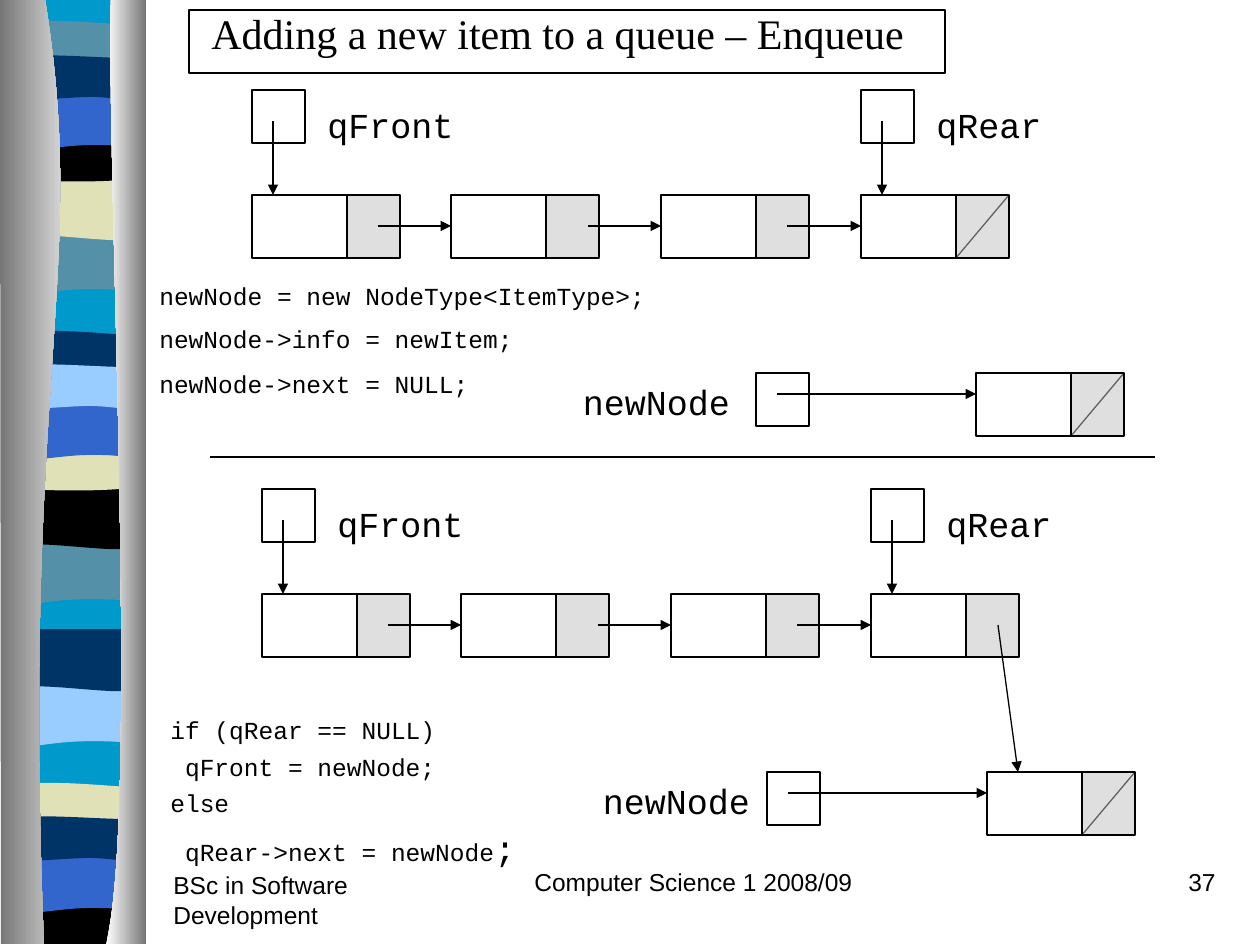
import lxml.etree
import pptx
import pptx.dml.color
import pptx.enum.shapes
import pptx.enum.text
import pptx.oxml.ns
import pptx.util

SCALE = 914400 / 126
QN = pptx.oxml.ns.qn
ALIGN = pptx.enum.text.PP_ALIGN
W, H = 1260, 945
CELL, LINK, NODE_H, BOX = 95, 53, 63, 53
NODES = ((0, 126), (199, 137), (409, 126), (609, None))
MONO = {"name": "Courier New", "size": 20}
CODE = {"name": "Courier New", "size": 14}
TITLE = {"name": "Times New Roman", "size": 24}
FOOT = {"name": "Arial", "size": 14}
CYAN, TEAL, NAVY, BLUE = "0099CC", "5490A8", "003366", "3366CC"
BLACK, SAND, SKY = "000000", "E1E1B7", "99CCFF"
FALL = [(136, 0), [(136, 59)], [(42, 49), (23, 69), (0, 59)], [(0, 0)]]
WAVE = [(136, 0), [(136, 59)], [(113, 69), (42, 52), (0, 59)], [(0, 0)]]
RIDGE = [(136, 0), [(136, 30)], [(113, 35), (23, 35), (0, 30)], [(0, 0)],
         [(8, -6), (29, -5), (52, -5)], [(74, -5), (118, -1), (136, 0)]]
DIP = [(136, 0), [(136, 41)], [(113, 47), (23, 47), (0, 41)], [(0, 0)],
       [(83, 6), (107, 0), (136, 0)]]
END = [(136, 0), [(136, 47)], [(0, 47)], [(0, 0)], [(83, 6), (107, 0), (136, 0)]]
ARCH = [(136, 0), [(136, 59)], [(115, 52), (106, 52), (83, 52)],
        [(60, 52), (20, 59), (0, 59)], [(0, 0)]]
BULGE = [(136, 0), [(136, 39)], [(127, 45), (106, 39), (83, 39)],
         [(60, 39), (14, 45), (0, 39)], [(0, 0)],
         [(19, -6), (92, 0), (115, 0)], [(137, 0), (132, 0), (136, 0)]]
BACK = [(136, 0), [(136, 942)], [(0, 942)], [(0, 0)]]
BANDS = (
    (BACK, 8, -1, CYAN),
    (FALL, 8, 233, TEAL), (WAVE, 8, 178, SAND), (RIDGE, 8, 26, TEAL),
    (DIP, 8, 136, BLACK), (ARCH, 8, 93, BLUE), (BULGE, 8, 58, NAVY),
    (FALL, 6, 543, TEAL), (WAVE, 6, 487, BLACK), (RIDGE, 6, 336, NAVY),
    (DIP, 6, 445, SAND), (ARCH, 6, 403, BLUE), (BULGE, 6, 367, SKY),
    (FALL, 8, 685, SKY), (WAVE, 8, 629, NAVY), (RIDGE, 6, 788, SAND),
    (END, 7, 897, BLACK), (ARCH, 6, 856, BLUE), (BULGE, 6, 819, NAVY),
)
SIDES = (
    ([(45, -1), [(89, 272), (21, 373), (44, 944)], [(1, 944)], [(0, -1)]],
     ("767676", "FFFFFF")),
    ([(111, -1), [(106, 158), (140, 814), (106, 944)], [(146, 944)], [(146, 0)]],
     ("FFFFFF", "767676")),
)


def emu(px):
    return pptx.util.Emu(round(px * SCALE))


def rgb(value):
    return pptx.dml.color.RGBColor.from_string(value)


def outline(s, x, y, start, *segments):
    def place(point):
        return emu(x + point[0]), emu(y + point[1])

    fb = s.shapes.build_freeform(*place(start))
    fb.add_line_segments([place(pt) for seg in segments for pt in seg], close=True)
    sp = fb.convert_to_shape()
    sp.shadow.inherit = False
    sp.line.fill.background()
    lines = iter(list(sp._element.iter(QN("a:lnTo"))))
    for seg in segments:
        first, *rest = [next(lines) for _ in seg]
        if rest:
            bezier = lxml.etree.Element(QN("a:cubicBezTo"))
            first.addprevious(bezier)
            for ln in (first, *rest):
                bezier.append(ln[0])
                ln.getparent().remove(ln)
    return sp


def rect(s, x, y, w, h, fill=None):
    kind = pptx.enum.shapes.MSO_SHAPE.RECTANGLE
    sp = s.shapes.add_shape(kind, emu(x), emu(y), emu(w), emu(h))
    sp.shadow.inherit = False
    sp.line.color.rgb = rgb(BLACK)
    sp.line.width = pptx.util.Pt(0.75)
    if fill is None:
        sp.fill.background()
    else:
        sp.fill.solid()
        sp.fill.fore_color.rgb = rgb(fill)
        clr = sp._element.spPr.find(QN("a:solidFill"))[0]
        lxml.etree.SubElement(clr, QN("a:alpha"), val="50000")


def line(s, x1, y1, x2, y2, arrow=True):
    kind = pptx.enum.shapes.MSO_CONNECTOR.STRAIGHT
    sp = s.shapes.add_connector(kind, emu(x1), emu(y1), emu(x2), emu(y2))
    sp.line.color.rgb = rgb(BLACK)
    sp.line.width = pptx.util.Pt(0.75)
    if arrow:
        lxml.etree.SubElement(sp.line._get_or_add_ln(), QN("a:tailEnd"), type="triangle")
    lxml.etree.SubElement(sp._element.spPr, QN("a:effectLst"))


def text(s, x, y, w, h, paragraphs, font, align=ALIGN.LEFT, tabs=()):
    tf = s.shapes.add_textbox(emu(x), emu(y), emu(w), emu(h)).text_frame
    tf.word_wrap = True
    for i, (runs, fmt) in enumerate(paragraphs):
        p = tf.paragraphs[0] if i == 0 else tf.add_paragraph()
        for name, value in {"alignment": align, **fmt}.items():
            setattr(p, name, value)
        if tabs:
            stops = lxml.etree.SubElement(p._p.get_or_add_pPr(), QN("a:tabLst"))
            for pos in tabs:
                lxml.etree.SubElement(stops, QN("a:tab"), pos=str(emu(pos)), algn="l")
        for content, change in runs:
            r = p.add_run()
            r.text = content
            r.font.color.rgb = rgb(BLACK)
            for name, value in {**font, **change}.items():
                setattr(r.font, name, pptx.util.Pt(value) if name == "size" else value)


def label(s, x, y, w, h, content, font, align=ALIGN.LEFT, tabs=()):
    text(s, x, y, w, h, [([(content, {})], {})], font, align, tabs)


def ribbon(s, x, y):
    for motif, dx, dy, color in BANDS:
        sp = outline(s, x + dx, y + dy, *motif)
        sp.fill.solid()
        sp.fill.fore_color.rgb = rgb(color)
    for side, colors in SIDES:
        sp = outline(s, x, y, *side)
        sp.fill.gradient()
        sp.fill.gradient_angle = 0
        for stop, color, position in zip(sp.fill.gradient_stops, colors, (0, 1)):
            stop.color.rgb = rgb(color)
            stop.position = position


def node(s, x, y, null=False):
    rect(s, x, y, CELL, NODE_H)
    if null:
        line(s, x + CELL, y + NODE_H, x + CELL + LINK, y, arrow=False)
    rect(s, x + CELL, y, LINK, NODE_H, "C0C0C0")


def queue(s, x, y, null):
    top = y + 105
    rear = NODES[-1][0]
    for i, (dx, tail) in enumerate(NODES):
        last = i == len(NODES) - 1
        node(s, x + dx, top, null and last)
        if not last:
            line(s, x + dx + tail, top + 31, x + NODES[i + 1][0], top + 31)
    for dx in (0, rear):
        rect(s, x + dx, y, BOX, BOX)
        line(s, x + dx + 21, y + 31, x + dx + 21, top)
    label(s, x - 63, y + 7, 935, 63, "\tqFront\tqRear", MONO, tabs=(126, 126 + rear))


def new_node(s, x, y, label_x):
    label(s, label_x, y + 1, 199, 55, "newNode", MONO, ALIGN.CENTER)
    rect(s, x, y, BOX, BOX)
    node(s, x + 220, y, null=True)
    line(s, x + 21, y + 21, x + 220, y + 21)


def title(s, x, y, w, h):
    label(s, x + 10, y - 9, 892, h, "Adding a new item to a queue – Enqueue", TITLE)
    rect(s, x, y, w, h)


def create_code(s, x, y, w, h):
    gap = {"space_before": pptx.util.Pt(8.8)}
    text(s, x, y, w, h, [
        ([("newNode = new NodeType<ItemType>;", {})], {"line_spacing": 0.5}),
        ([("newNode->info = newItem;", {})], gap),
        ([("newNode->next = NULL;", {})], gap),
    ], CODE)


def attach_code(s, x, y, w, h):
    gap = {"space_before": pptx.util.Pt(8.8), "line_spacing": 0.7}
    text(s, x, y, w, h, [
        ([("if (qRear == NULL)", {})], {}),
        ([(" qFront = newNode;", {})], gap),
        ([("else", {})], gap),
        ([(" qRear->next = newNode", {}), (";", {"size": 20})],
         {**gap, "space_before": pptx.util.Pt(12.5)}),
    ], CODE)


def footer(s, x, y, w, h):
    label(s, x, y + 3, 262, h, "BSc in Software Development", FOOT)
    label(s, x + 333, y, 399, h, "Computer Science 1 2008/09", FOOT, ALIGN.CENTER)
    label(s, x + w - 262, y, 262, h, "37", FOOT, ALIGN.RIGHT)


def main():
    prs = pptx.Presentation()
    prs.slide_width, prs.slide_height = emu(W), emu(H)
    s = prs.slides.add_slide(prs.slide_layouts[6])
    ribbon(s, 0, 0)
    footer(s, 161, 861, 1067, 63)
    queue(s, 252, 90, null=True)
    new_node(s, 756, 373, 557)
    queue(s, 262, 489, null=False)
    new_node(s, 767, 772, 577)
    line(s, 998, 625, 1018, 772)
    line(s, 210, 457, 1155, 457, arrow=False)
    create_code(s, 147, 288, 514, 163)
    attach_code(s, 158, 709, 378, 165)
    title(s, 189, 10, 756, 63)
    prs.save("out.pptx")


if __name__ == "__main__":
    main()
